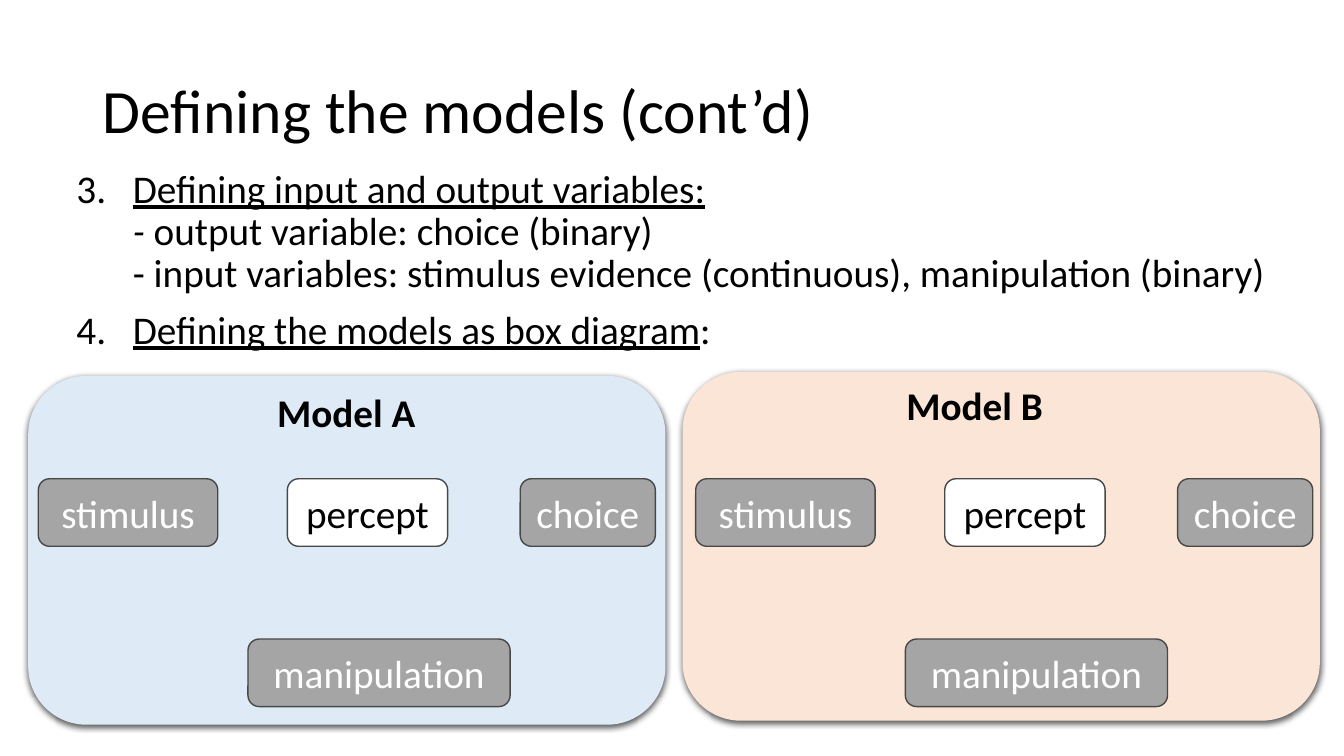
from lxml import etree
from pptx import Presentation
from pptx.dml.color import RGBColor
from pptx.enum.shapes import MSO_SHAPE
from pptx.enum.text import MSO_ANCHOR, MSO_AUTO_SIZE, PP_ALIGN
from pptx.oxml import parse_xml
from pptx.oxml.ns import nsdecls, qn
from pptx.util import Inches, Pt


def color(value):
    return RGBColor.from_string(value)


def set_font(paragraph, size, value):
    paragraph.font.name = "Calibri"
    paragraph.font.size = Pt(size)
    paragraph.font.color.rgb = color(value)


deck = Presentation()
deck.slide_width = Inches(13.33)
deck.slide_height = Inches(7.5)
page = deck.slides.add_slide(deck.slide_layouts[5])

# Title
title = page.shapes.title
title.left, title.top = Inches(0.92), Inches(0.4)
title.width, title.height = Inches(11.5), Inches(1.45)
frame = title.text_frame
frame.auto_size = MSO_AUTO_SIZE.NONE
frame.vertical_anchor = MSO_ANCHOR.MIDDLE
frame.text = "Defining the models (cont’d)"
para = frame.paragraphs[0]
para.alignment = PP_ALIGN.LEFT
para.line_spacing = 0.9
set_font(para, 44, "000000")

# Numbered list: each item is a list of (text, underline, italic) spans
items = [
    [
        ("Defining input and output variables:", True, False),
        ("\n", False, False),
        ("- ", False, True),
        ("output variable: choice (binary)", False, False),
        ("\n", False, False),
        ("- input variables: stimulus evidence (continuous), manipulation (binary)", False, False),
    ],
    [("Defining the models as box diagram", True, False), (":", False, False)],
]
body = page.shapes.add_textbox(Inches(0.66), Inches(1.63), Inches(12.39), Inches(2.12))
frame = body.text_frame
frame.word_wrap = True
for index, spans in enumerate(items):
    para = frame.add_paragraph() if index else frame.paragraphs[0]
    para.line_spacing = 0.9
    para.space_before = Pt(10 if index else 0)
    properties = para._p.get_or_add_pPr()
    properties.set("marL", str(Inches(0.56)))
    properties.set("indent", str(Inches(-0.56)))
    etree.SubElement(properties, qn("a:buAutoNum"), type="arabicPeriod", startAt="3")
    set_font(para, 28, "000000")
    for text, underline, italic in spans:
        if text == "\n":
            para.add_line_break()
            continue
        span = para.add_run()
        span.text = text
        span.font.underline = underline
        span.font.italic = italic

# Model panels: name, fill, panel left and top, heading left and top, shift of the boxes
models = [
    ("Model A", "DEEBF7", 0.28, 3.73, 2.65, 3.8, 0),
    ("Model B", "FBE5D6", 6.77, 3.69, 8.89, 3.73, 6.52),
]
# Variables: name, left, top, width, fill, text colour
variables = [
    ("choice", 5.16, 4.75, 1.34, "A5A5A5", "FFFFFF"),
    ("stimulus", 0.38, 4.75, 1.78, "A5A5A5", "FFFFFF"),
    ("manipulation", 2.46, 6.34, 2.6, "A5A5A5", "FFFFFF"),
    ("percept", 2.85, 4.75, 1.59, "FFFFFF", "000000"),
]
for name, fill, left, top, heading_left, heading_top, shift in models:
    group = page.shapes.add_group_shape()

    # Panel with a soft shadow below
    panel = group.shapes.add_shape(
        MSO_SHAPE.ROUNDED_RECTANGLE, Inches(left), Inches(top), Inches(6.32), Inches(3.46))
    panel.fill.solid()
    panel.fill.fore_color.rgb = color(fill)
    panel.line.fill.background()
    panel.shadow.inherit = False
    panel._element.spPr.find(qn("a:effectLst")).append(parse_xml(
        f'<a:outerShdw {nsdecls("a")} blurRad="{Pt(4.5)}" dist="{Pt(1.5)}" dir="5400000"'
        ' algn="ctr" rotWithShape="0"><a:srgbClr val="000000"><a:alpha val="63000"/>'
        '</a:srgbClr></a:outerShdw>'))

    # Heading
    heading = group.shapes.add_textbox(
        Inches(heading_left), Inches(heading_top), Inches(1.58), Inches(0.57))
    heading.text_frame.word_wrap = False
    heading.text_frame.auto_size = MSO_AUTO_SIZE.SHAPE_TO_FIT_TEXT
    heading.text_frame.text = name
    para = heading.text_frame.paragraphs[0]
    set_font(para, 28, "000000")
    para.font.bold = True

    # Variable boxes
    for label, box_left, box_top, width, box_fill, text_color in variables:
        box = group.shapes.add_shape(
            MSO_SHAPE.ROUNDED_RECTANGLE,
            Inches(box_left + shift), Inches(box_top), Inches(width), Inches(0.67))
        box.shadow.inherit = False
        box.fill.solid()
        box.fill.fore_color.rgb = color(box_fill)
        box.line.color.rgb = color("484848")
        box.line.width = Pt(1)
        box.text_frame.vertical_anchor = MSO_ANCHOR.MIDDLE
        box.text_frame.text = label
        para = box.text_frame.paragraphs[0]
        para.alignment = PP_ALIGN.CENTER
        set_font(para, 28, text_color)

deck.save("out.pptx")
